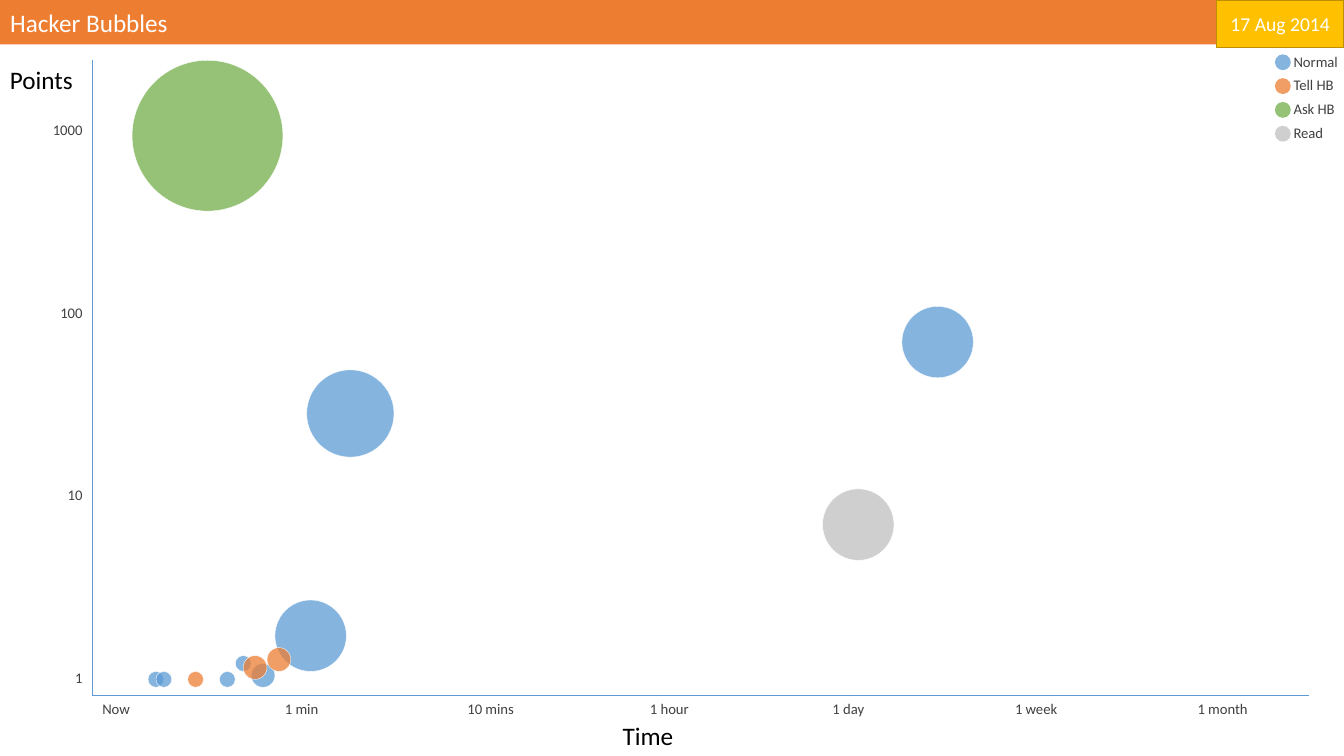
from lxml import etree
from pptx import Presentation
from pptx import util as u
from pptx.dml.color import RGBColor
from pptx.enum import shapes, text
from pptx.oxml.ns import qn

COLORS = {
    "normal": "5B9BD5", "tell": "ED7D31", "ask": "70AD47", "read": "BFBFBF",
    "date": "FFC000", "date_line": "BD8E00",
    "white": "FFFFFF", "black": "000000", "label": "404040",
}
Cm = u.Cm
AXIS_X, AXIS_Y = 2.33, 17.52  # origin of the chart
TICK = 4.6                    # distance between axis labels


def write(sp, words, size, color, align="LEFT", anchor="TOP", wrap=False, inset=None):
    tf = sp.text_frame
    tf.word_wrap = wrap
    tf.auto_size = text.MSO_AUTO_SIZE.NONE if wrap else text.MSO_AUTO_SIZE.SHAPE_TO_FIT_TEXT
    tf.vertical_anchor = text.MSO_ANCHOR[anchor]
    if inset is not None:
        tf.margin_left = tf.margin_top = tf.margin_right = tf.margin_bottom = Cm(inset)
    p = tf.paragraphs[0]
    p.alignment = text.PP_ALIGN[align]
    r = p.add_run()
    r.text = words
    r.font.size = u.Pt(size)
    r.font.name = "Calibri"
    r.font.color.rgb = RGBColor.from_string(COLORS[color])


def bubble(left, top, size, kind, outlined=True):
    sp = s.shapes.add_shape(shapes.MSO_SHAPE.OVAL, Cm(left), Cm(top), Cm(size), Cm(size))
    sp.shadow.inherit = False
    sp.fill.solid()
    sp.fill.fore_color.rgb = RGBColor.from_string(COLORS[kind])
    clr = sp.fill._xPr.find(qn("a:solidFill"))[0]
    etree.SubElement(clr, qn("a:alpha")).set("val", "74000")
    if outlined:
        sp.line.color.rgb = RGBColor.from_string(COLORS["white"])
        sp.line.width = u.Pt(0.25)
    else:
        sp.line.fill.background()


prs = Presentation()
prs.slide_width, prs.slide_height = Cm(33.87), Cm(19.05)
s = prs.slides.add_slide(prs.slide_layouts[5])

# Title bar
title = s.shapes.title
title.left, title.top, title.width, title.height = Cm(0), Cm(0), prs.slide_width, Cm(1.12)
title.fill.solid()
title.fill.fore_color.rgb = RGBColor.from_string(COLORS["tell"])
write(title, "Hacker Bubbles", 18, "white", anchor="MIDDLE", wrap=True)

# Axes
for end_x, end_y in [(33, AXIS_Y), (AXIS_X, 1.52)]:
    axis = s.shapes.add_connector(
        shapes.MSO_CONNECTOR.STRAIGHT, Cm(AXIS_X), Cm(AXIS_Y), Cm(end_x), Cm(end_y))
    axis.line.color.rgb = RGBColor.from_string(COLORS["normal"])
    axis.line.width = u.Pt(0.5)
    etree.SubElement(axis._element.spPr, qn("a:effectLst"))

# Axis titles
for words, left, top, width in [("Time", 15.44, 18.03, 1.8), ("Points", 0, 1.5, 2.11)]:
    sp = s.shapes.add_textbox(Cm(left), Cm(top), Cm(width), Cm(1.02))
    write(sp, words, 18, "black")

# Points labels, right-aligned to the axis
for i, words in enumerate(["1000", "100", "10", "1"]):
    width = 0.52 + 0.2 * len(words)
    sp = s.shapes.add_textbox(Cm(AXIS_X - width), Cm(2.92 + i * TICK), Cm(width), Cm(0.73))
    write(sp, words, 10.5, "label", align="RIGHT")

# Time labels
times = [("Now", 1.22), ("1 min", 1.37), ("10 mins", 1.7), ("1 hour", 1.5),
         ("1 day", 1.32), ("1 week", 1.6), ("1 month", 1.8)]
for i, (words, width) in enumerate(times):
    sp = s.shapes.add_textbox(Cm(AXIS_X + i * TICK), Cm(AXIS_Y), Cm(width), Cm(0.72))
    write(sp, words, 10.5, "label")

# Bubbles: centre right of and above the origin, diameter, kind
bubbles = [
    (2.9, 14.1, 3.8, "ask"),
    (5.5, 1.5, 1.8, "normal"),
    (6.5, 7.1, 2.2, "normal"),
    (1.6, 0.4, 0.4, "normal"),
    (21.3, 8.9, 1.8, "normal"),
    (19.3, 4.3, 1.8, "read"),
    (1.8, 0.4, 0.4, "normal"),
    (2.6, 0.4, 0.4, "tell"),
    (3.4, 0.4, 0.4, "normal"),
    (3.8, 0.8, 0.4, "normal"),
    (4.3, 0.5, 0.6, "normal"),
    (4.1, 0.7, 0.6, "tell"),
    (4.7, 0.9, 0.6, "tell"),
]
for x, y, size, kind in bubbles:
    bubble(AXIS_X + x - size / 2, AXIS_Y - y - size / 2, size, kind)

# Legend
legend = [("Normal", "normal", 1.12), ("Tell HB", "tell", 1.09),
          ("Ask HB", "ask", 1.09), ("Read", "read", 0.76)]
for i, (words, kind, width) in enumerate(legend):
    bubble(32.13, 1.37 + i * 0.6, 0.4, kind, outlined=False)
    sp = s.shapes.add_textbox(Cm(32.6), Cm(1.32 + i * 0.6), Cm(width), Cm(0.45))
    write(sp, words, 10.5, "label", inset=0)

# Date box
date = s.shapes.add_shape(shapes.MSO_SHAPE.RECTANGLE, Cm(30.66), Cm(0), Cm(3.21), Cm(1.2))
date.shadow.inherit = False
date.fill.solid()
date.fill.fore_color.rgb = RGBColor.from_string(COLORS["date"])
date.line.color.rgb = RGBColor.from_string(COLORS["date_line"])
date.line.width = u.Pt(1)
write(date, "17 Aug 2014", 14, "white", align="CENTER", anchor="MIDDLE", wrap=True)

prs.save("out.pptx")
